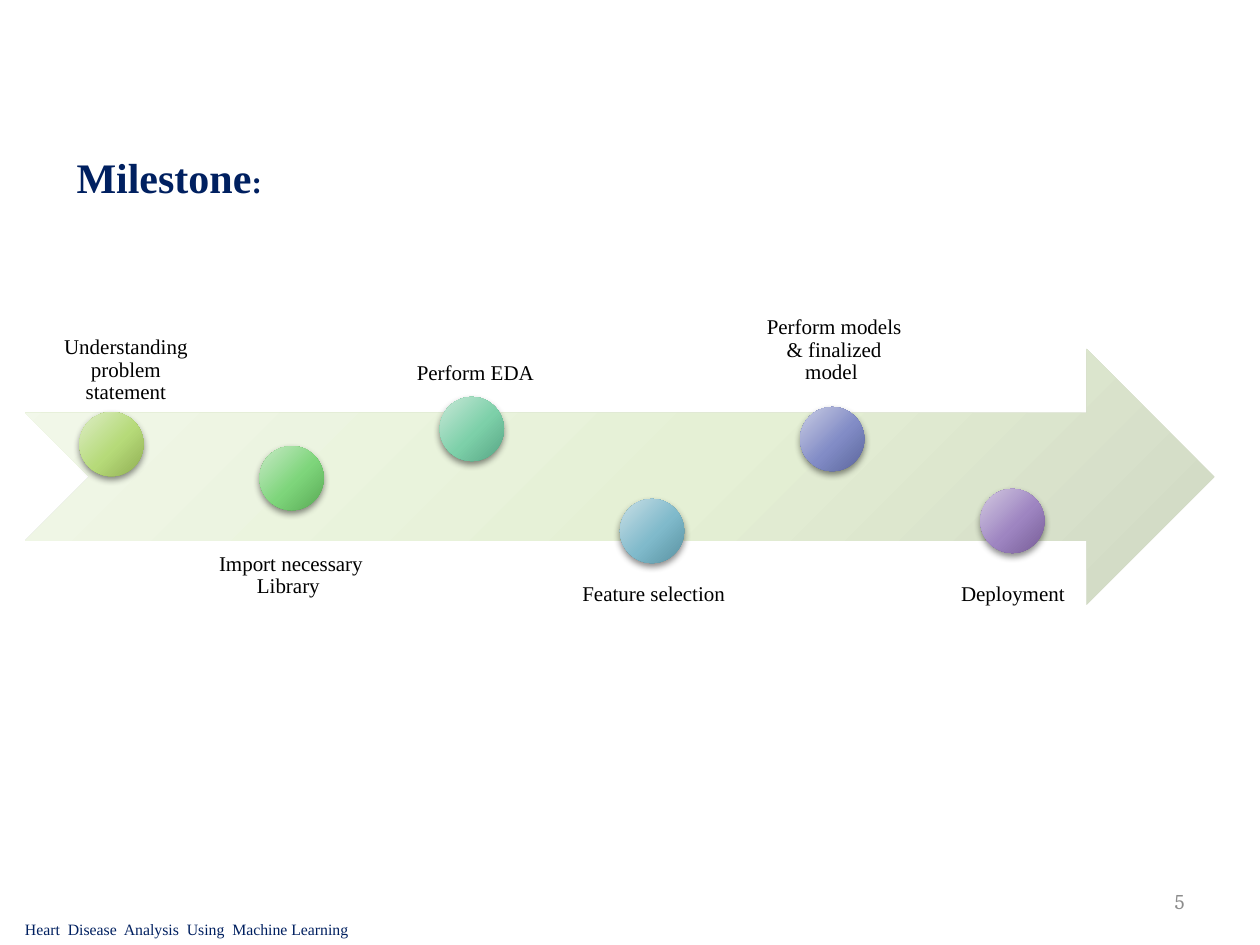
"""Build the milestone timeline slide."""
from lxml import etree
from pptx import Presentation, util as u
from pptx.dml.color import RGBColor
from pptx.enum import shapes, text
from pptx.oxml.ns import qn

COLORS = {"navy": "002060", "black": "000000", "gray": "8C8C8C"}
SERIF = "Times New Roman"
ARROW_STOPS = ("F2F8EA", "E5F0D5", "CFD7C3")
MILESTONES = [
    ("Understanding problem statement", (0.35, 2.33, 1.3, 0.97), "BOTTOM", 3.27,
     ("DDEDC6", "B6DA79", "90AE53")),
    ("Import necessary Library ", (1.63, 4.3, 1.36, 2.03), "TOP", 3.54,
     ("C8EAC7", "7ED57B", "59AA55")),
    ("Perform EDA ", (3.11, 2.65, 1.36, 0.5), "BOTTOM", 3.15,
     ("C8E8D8", "7DD0A9", "57A584")),
    ("Feature selection ", (4.53, 4.54, 1.36, 0.35), "TOP", 3.96,
     ("C9DFE6", "80BACB", "5992A1")),
    ("Perform models & finalized model ", (5.94, 2.33, 1.36, 0.81), "BOTTOM", 3.23,
     ("CACDE4", "828CC6", "5B669C")),
    ("Deployment", (7.36, 4.54, 1.36, 0.65), "TOP", 3.88,
     ("D4CBE2", "9E85C1", "775D97")),
]
FIRST_MARKER, MARKER_STEP, MARKER_SIZE = 0.63, 1.43, 0.51


def add_node(parent, tag, **attributes):
    return etree.SubElement(parent, qn(tag), attributes)


def add_gradient_shape(slide, preset, box, stops, shadowed=False):
    shape = slide.shapes.add_shape(preset, *map(u.Inches, box))
    shape.line.fill.background()
    shape.shadow.inherit = False
    shape.fill.background()
    properties = shape.element.spPr
    gradient = etree.Element(qn("a:gradFill"), rotWithShape="1")
    stop_list = add_node(gradient, "a:gsLst")
    for position, color in zip((0, 55, 100), stops):
        stop = add_node(stop_list, "a:gs", pos=str(position * 1000))
        add_node(stop, "a:srgbClr", val=color)
    radial = add_node(gradient, "a:path", path="circle")
    add_node(radial, "a:fillToRect", l="-40000", t="-90000", r="140000", b="190000")
    properties.replace(properties.find(qn("a:noFill")), gradient)
    if shadowed:
        shadow = add_node(properties.find(qn("a:effectLst")), "a:outerShdw",
                          blurRad=str(u.Pt(4)), dist=str(u.Pt(2)),
                          dir="5400000", rotWithShape="0")
        black = add_node(shadow, "a:srgbClr", val=COLORS["black"])
        add_node(black, "a:alpha", val="45000")


def add_text(slide, box, runs, color, align="LEFT", anchor="TOP", font=SERIF,
             bold=False, spacing=None, insets=(0.1, 0.05)):
    frame = slide.shapes.add_textbox(*map(u.Inches, box)).text_frame
    frame.word_wrap = True
    frame.vertical_anchor = text.MSO_ANCHOR[anchor]
    frame.margin_left = frame.margin_right = u.Inches(insets[0])
    frame.margin_top = frame.margin_bottom = u.Inches(insets[1])
    paragraph = frame.paragraphs[0]
    paragraph.alignment = text.PP_ALIGN[align]
    if spacing:
        paragraph.line_spacing = spacing
    for words, size in runs:
        run = paragraph.add_run()
        run.text = words
        run.font.name = font
        run.font.size = u.Pt(size)
        run.font.bold = bold
        run.font.color.rgb = RGBColor.from_string(COLORS[color])


def main():
    deck = Presentation()
    deck.slide_width, deck.slide_height = u.Inches(10), u.Inches(7.5)
    slide = deck.slides.add_slide(deck.slide_layouts[6])

    add_gradient_shape(slide, shapes.MSO_SHAPE.NOTCHED_RIGHT_ARROW,
                       (0.2, 2.77, 9.44, 2.03), ARROW_STOPS)
    for index, (label, box, anchor, top, stops) in enumerate(MILESTONES):
        add_text(slide, box, [(label, 12)], "black", "CENTER", anchor,
                 spacing=0.9, insets=(0.09, 0.09))
        left = FIRST_MARKER + index * MARKER_STEP
        add_gradient_shape(slide, shapes.MSO_SHAPE.OVAL,
                           (left, top, MARKER_SIZE, MARKER_SIZE), stops, True)

    add_text(slide, (0.51, 1.15, 2.2, 0.79), [("Milestone", 24), (":", 18)],
             "navy", bold=True)
    add_text(slide, (0.1, 7.25, 3.96, 0.25),
             [("Heart  Disease  Analysis  Using  Machine Learning", 9)], "navy")
    add_text(slide, (7.17, 6.95, 2.33, 0.4), [("5", 12)], "gray", "RIGHT",
             "MIDDLE", font="Cambria")
    deck.save("out.pptx")


if __name__ == "__main__":
    main()
